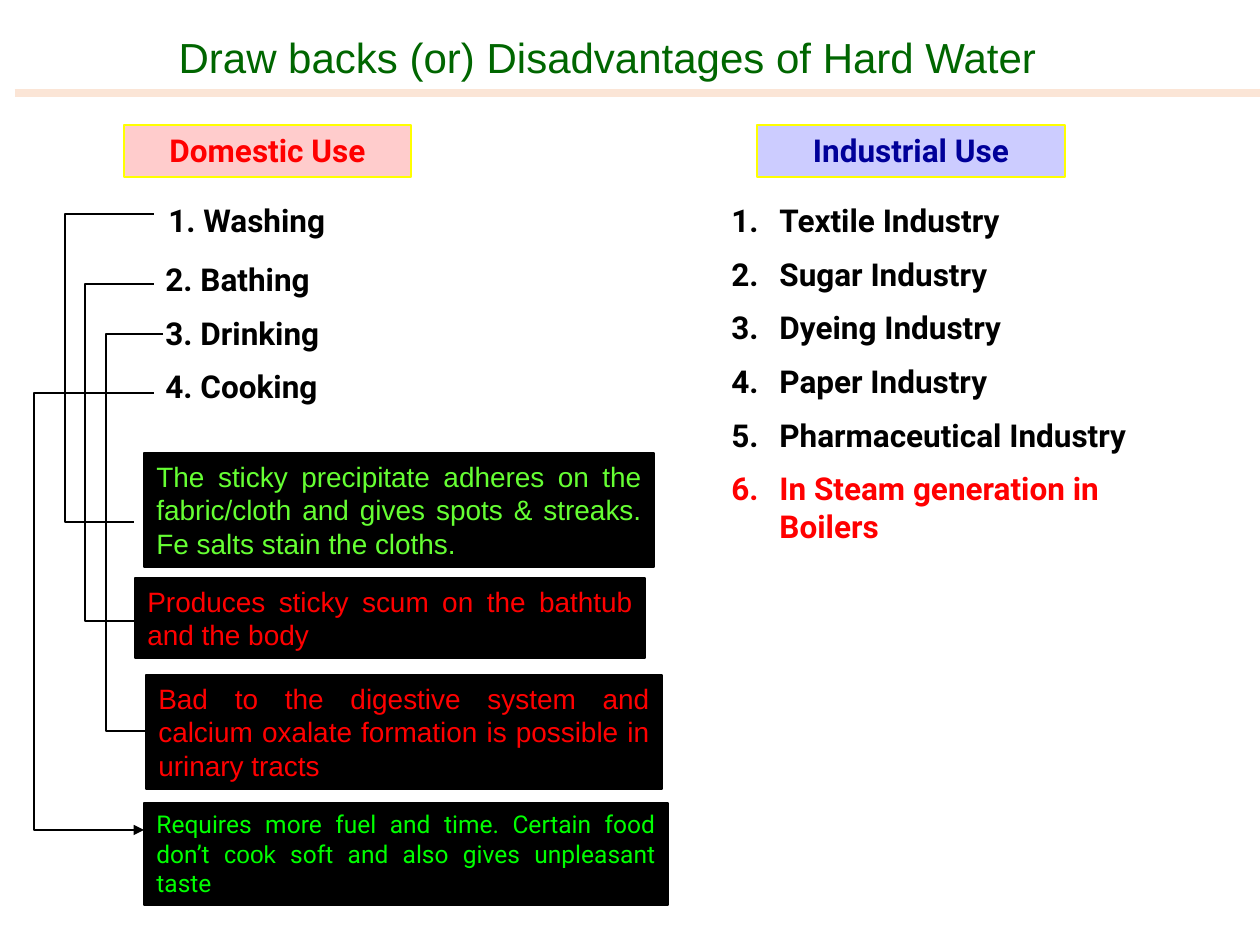
from lxml import etree
from pptx import Presentation
from pptx.dml.color import RGBColor
from pptx.enum.shapes import MSO_CONNECTOR, MSO_SHAPE
from pptx.enum.text import MSO_ANCHOR, MSO_AUTO_SIZE, PP_ALIGN
from pptx.oxml.ns import qn
from pptx.util import Pt

RECT, STRAIGHT = MSO_SHAPE.RECTANGLE, MSO_CONNECTOR.STRAIGHT
LEFT, CENTER, JUSTIFY = PP_ALIGN.LEFT, PP_ALIGN.CENTER, PP_ALIGN.JUSTIFY
SCALE = 914400 / 126  # EMU per px
TITLE_ONLY = 5

COLORS = {
    "title": "006600", "rule": "FBE5D6", "black": "000000", "red": "FF0000",
    "pink": "FFCCCC", "lilac": "CCCCFF", "yellow": "FFFF00", "navy": "000099",
    "lime": "66FF33", "green": "00FF00",
}
HEADING = {"name": "Roboto", "size": Pt(18), "bold": True}
ARIAL_16 = {"name": "Arial", "size": Pt(16)}
ROBOTO_14 = {"name": "Roboto", "size": Pt(14)}
ARIAL_14 = {"name": "Arial", "size": Pt(14)}

TITLE = "Draw backs (or) Disadvantages of Hard Water"
TITLE_BOX = (166, 26, 953, 67)

# box, fill, border, text colour, alignment, [(text, font)]
PANELS = [
    ((124, 125, 287, 52), "pink", "yellow", "red", CENTER, [("Domestic Use", HEADING)]),
    ((757, 125, 308, 52), "lilac", "yellow", "navy", CENTER, [("Industrial Use", HEADING)]),
    ((144, 453, 510, 114), "black", "black", "lime", JUSTIFY,
     [("The sticky precipitate adheres on the fabric/cloth and gives spots & streaks. "
       "Fe salts stain the cloths.", ARIAL_16)]),
    ((135, 578, 510, 80), "black", "black", "red", JUSTIFY,
     [("Produces sticky scum on the bathtub and the body", ARIAL_16)]),
    ((146, 675, 516, 114), "black", "black", "red", JUSTIFY,
     [("Bad to the digestive system and calcium oxalate formation is possible in "
       "urinary tracts", ARIAL_16)]),
    ((144, 803, 524, 102), "black", "black", "green", JUSTIFY,
     [("Requires more fuel and time. Certain food don’t ", ROBOTO_14),
      ("cook", ARIAL_14),
      (" soft and also gives unpleasant taste", ROBOTO_14)]),
]

# box, numbered automatically, [(text, colour)]
LISTS = [
    ((156, 195, 413, 50), False, [("1. Washing", "black")]),
    ((153, 254, 218, 164), False,
     [("2. Bathing", "black"), ("3. Drinking", "black"), ("4. Cooking", "black")]),
    ((719, 195, 486, 373), True,
     [("Textile Industry", "black"), ("Sugar Industry", "black"),
      ("Dyeing Industry", "black"), ("Paper Industry", "black"),
      ("Pharmaceutical Industry", "black"), ("In Steam generation in Boilers", "red")]),
]

# start x, top y, left x, bottom y, end x
BRACKETS = [
    (154, 214, 65, 522, 134),
    (154, 284, 85, 621, 134),
    (163, 334, 106, 731, 147),
    (154, 393, 34, 830, 120),
]
COOKING_ARROW = (85, 830, 144, 830)
TITLE_RULE = (15, 93, 1260, 93)


def px(*values):
    return [round(v * SCALE) for v in values]


def rgb(name):
    return RGBColor.from_string(COLORS[name])


def add_run(p, text, color, font):
    r = p.add_run()
    r.text = text
    for key, value in font.items():
        setattr(r.font, key, value)
    r.font.color.rgb = rgb(color)


def set_line(sp, color, width=0.75):
    sp.line.color.rgb = rgb(color)
    sp.line.width = Pt(width)


def set_frame(tf):
    tf.word_wrap = True
    tf.vertical_anchor = MSO_ANCHOR.TOP
    tf.auto_size = MSO_AUTO_SIZE.SHAPE_TO_FIT_TEXT


def number_paragraph(p):
    pPr = p._p.get_or_add_pPr()
    indent = px(48)[0]
    pPr.set("marL", str(indent))
    pPr.set("indent", str(-indent))
    etree.SubElement(pPr, qn("a:buFont"), typeface="+mj-lt")
    etree.SubElement(pPr, qn("a:buAutoNum"), type="arabicPeriod")


def add_panel(slide, box, fill, border, color, align, runs):
    sp = slide.shapes.add_shape(RECT, *px(*box))
    sp.shadow.inherit = False
    sp.fill.solid()
    sp.fill.fore_color.rgb = rgb(fill)
    set_line(sp, border)
    set_frame(sp.text_frame)
    p = sp.text_frame.paragraphs[0]
    p.alignment = align
    for text, font in runs:
        add_run(p, text, color, font)


def add_list(slide, box, numbered, items):
    tf = slide.shapes.add_textbox(*px(*box)).text_frame
    set_frame(tf)
    for i, (text, color) in enumerate(items):
        p = tf.add_paragraph() if i else tf.paragraphs[0]
        if i:
            p.space_before = Pt(9)
        if numbered:
            number_paragraph(p)
        add_run(p, text, color, HEADING)


def add_bracket(slide, start, top, left, bottom, end):
    builder = slide.shapes.build_freeform(start, top, scale=SCALE)
    builder.add_line_segments([(left, top), (left, bottom), (end, bottom)], close=False)
    sp = builder.convert_to_shape()
    sp.shadow.inherit = False
    sp.fill.background()
    set_line(sp, "black")


def add_line(slide, ends, color, width=0.75, arrow=False):
    line = slide.shapes.add_connector(STRAIGHT, *px(*ends))
    set_line(line, color, width)
    if arrow:
        etree.SubElement(line.line._get_or_add_ln(), qn("a:tailEnd"), type="triangle")
    etree.SubElement(line._element.spPr, qn("a:effectLst"))


def add_title(slide):
    sp = slide.shapes.title
    sp.left, sp.top, sp.width, sp.height = px(*TITLE_BOX)
    tf = sp.text_frame
    tf.word_wrap = True
    tf.vertical_anchor = MSO_ANCHOR.MIDDLE
    p = tf.paragraphs[0]
    p.alignment = LEFT
    p.line_spacing = 0.9
    add_run(p, TITLE, "title", {"name": "Arial", "size": Pt(24)})


def main():
    prs = Presentation()
    prs.slide_width, prs.slide_height = px(1260, 945)
    slide = prs.slides.add_slide(prs.slide_layouts[TITLE_ONLY])
    add_title(slide)
    for panel in PANELS:
        add_panel(slide, *panel)
    for entry in LISTS:
        add_list(slide, *entry)
    for bracket in BRACKETS:
        add_bracket(slide, *bracket)
    add_line(slide, COOKING_ARROW, "black", arrow=True)
    add_line(slide, TITLE_RULE, "rule", width=4.5)
    prs.save("out.pptx")


if __name__ == "__main__":
    main()
